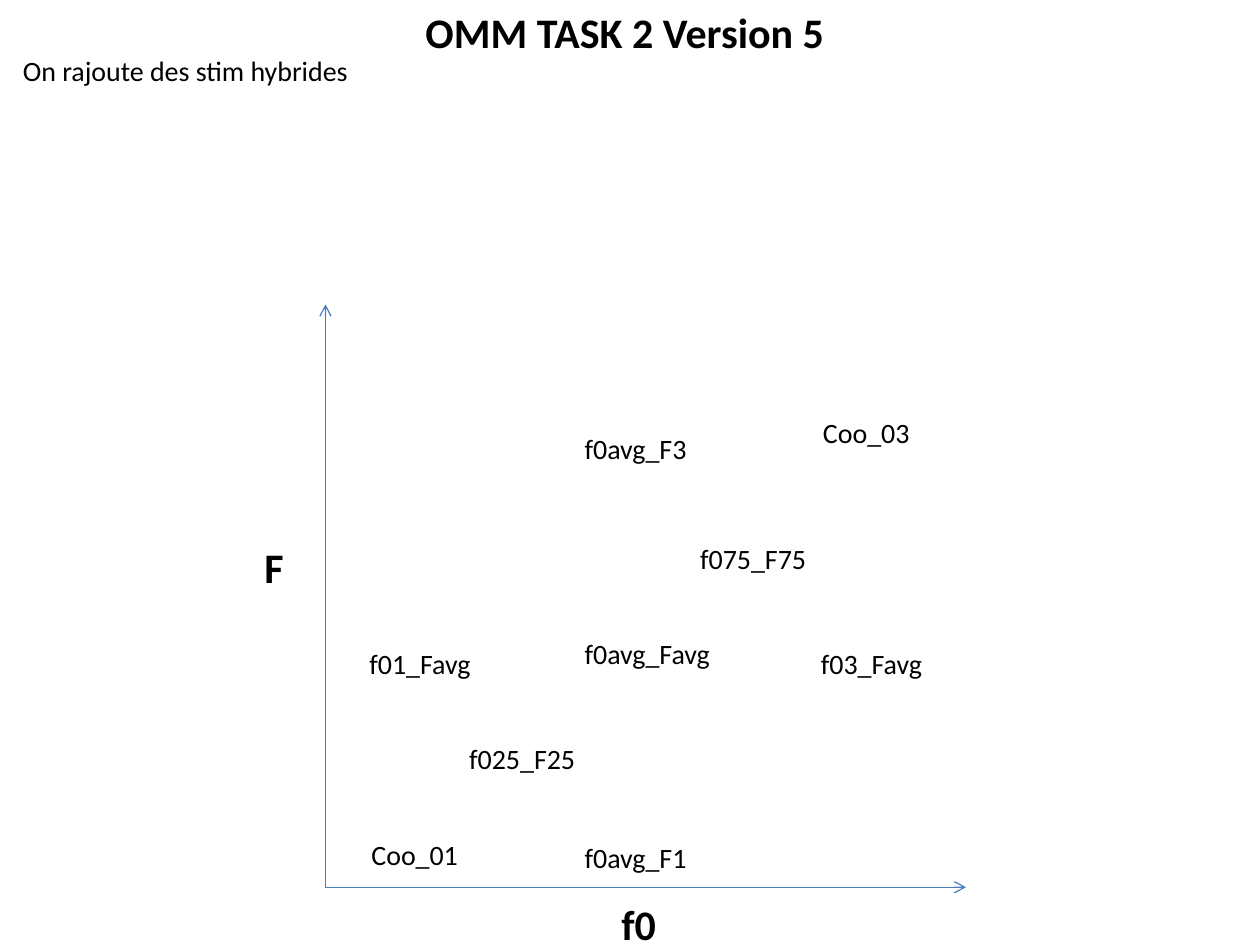
from pptx import Presentation
from pptx.dml.color import RGBColor
from pptx.enum.shapes import MSO_CONNECTOR
from pptx.enum.text import MSO_AUTO_SIZE, PP_ALIGN
from pptx.oxml.ns import qn
from pptx.util import Inches, Pt
from lxml import etree

STRAIGHT = MSO_CONNECTOR.STRAIGHT
FIT_SHAPE = MSO_AUTO_SIZE.SHAPE_TO_FIT_TEXT
LEFT, CENTER = PP_ALIGN.LEFT, PP_ALIGN.CENTER

COLORS = {"text": "000000", "axis": "4B7EBC"}
HEADING = {"name": "Calibri", "size": Pt(24), "bold": True}
BODY = {"name": "Calibri", "size": Pt(16)}

COLUMNS, ROWS = 120, 90
CELL = Inches(10) / COLUMNS
HEADING_ROWS, LABEL_ROWS = 6, 4.4
WIDE, MEDIUM, NARROW = 16.5, 12.1, 10.8

# Label, column and row inside the plot, width, wrapping
STIMULI = [
    ("Coo_01", 3.2, 50.2, NARROW, False),
    ("Coo_03", 46.2, 10, NARROW, False),
    ("f0avg_Favg", 23.5, 31, WIDE, True),
    ("f01_Favg", 3, 32, MEDIUM, False),
    ("f03_Favg", 46, 32, MEDIUM, False),
    ("f0avg_F1", 23.5, 50.5, WIDE, True),
    ("f0avg_F3", 23.5, 11.5, WIDE, True),
    ("f025_F25", 12.5, 41, WIDE, True),
    ("f075_F75", 34.5, 22, WIDE, True),
]


def cells(*counts):
    return [round(count * CELL) for count in counts]


def add_label(slide, wording, box, style, wrap=False, align=LEFT):
    label = slide.shapes.add_textbox(*cells(*box))
    frame = label.text_frame
    frame.word_wrap = wrap
    frame.auto_size = FIT_SHAPE
    paragraph = frame.paragraphs[0]
    paragraph.alignment = align
    run = paragraph.add_run()
    run.text = wording
    for attribute, value in style.items():
        setattr(run.font, attribute, value)
    run.font.color.rgb = RGBColor.from_string(COLORS["text"])


def add_axis(slide, start, end):
    axis = slide.shapes.add_connector(STRAIGHT, *cells(*start, *end))
    axis.line.color.rgb = RGBColor.from_string(COLORS["axis"])
    axis.line.width = Pt(0.75)
    outline = axis.line._get_or_add_ln()
    etree.SubElement(outline, qn("a:tailEnd"), type="arrow")
    etree.SubElement(axis._element.spPr, qn("a:effectLst"))


def add_header(slide, left, top, width):
    """Place the centred title and the remark below it."""
    title_width = 40.7
    title_left = left + (width - title_width) / 2 - 0.5
    add_label(slide, "OMM TASK 2 Version 5",
              (title_left, top, title_width, HEADING_ROWS), HEADING, align=CENTER)
    add_label(slide, "On rajoute des stim hybrides",
              (left + 1, top + 4.5, width - 3.1, 7.7), BODY, wrap=True)


def add_stimulus_plot(slide, left, top, width, height):
    """Place the f0 and F axes and the stimuli between them."""
    bottom = top + height
    origin = (left, bottom)
    add_axis(slide, origin, (left + width, bottom))
    add_axis(slide, origin, (left, top))
    add_label(slide, "f0", (left + 27, bottom + 0.5, 5.8, HEADING_ROWS), HEADING)
    add_label(slide, "F", (left - 7, top + 22, 4.3, HEADING_ROWS), HEADING)
    for name, column, row, label_width, wrap in STIMULI:
        add_label(slide, name, (left + column, top + row, label_width, LABEL_ROWS),
                  BODY, wrap)


def main():
    presentation = Presentation()
    presentation.slide_width, presentation.slide_height = cells(COLUMNS, ROWS)
    slide = presentation.slides.add_slide(presentation.slide_layouts[6])
    add_header(slide, 0, 0, COLUMNS)
    add_stimulus_plot(slide, 31, 29, 61, 55.5)
    presentation.save("out.pptx")


if __name__ == "__main__":
    main()
